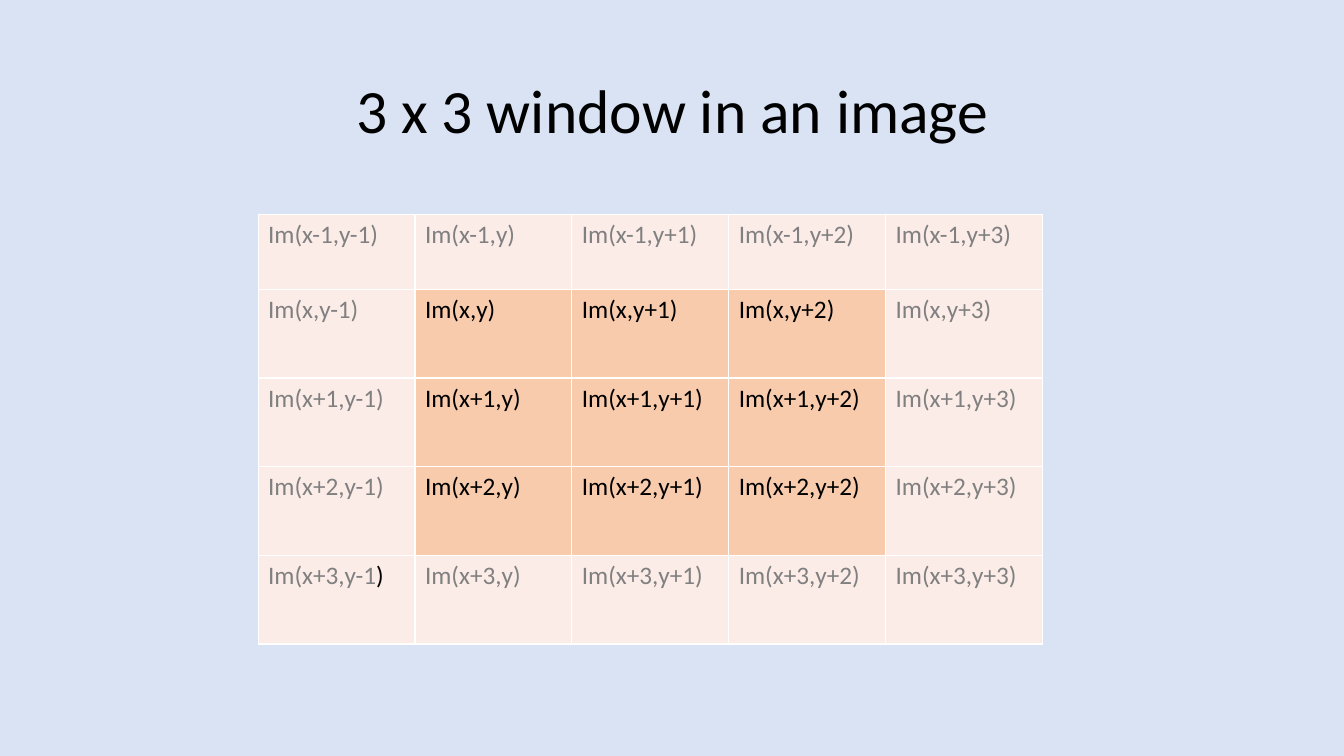
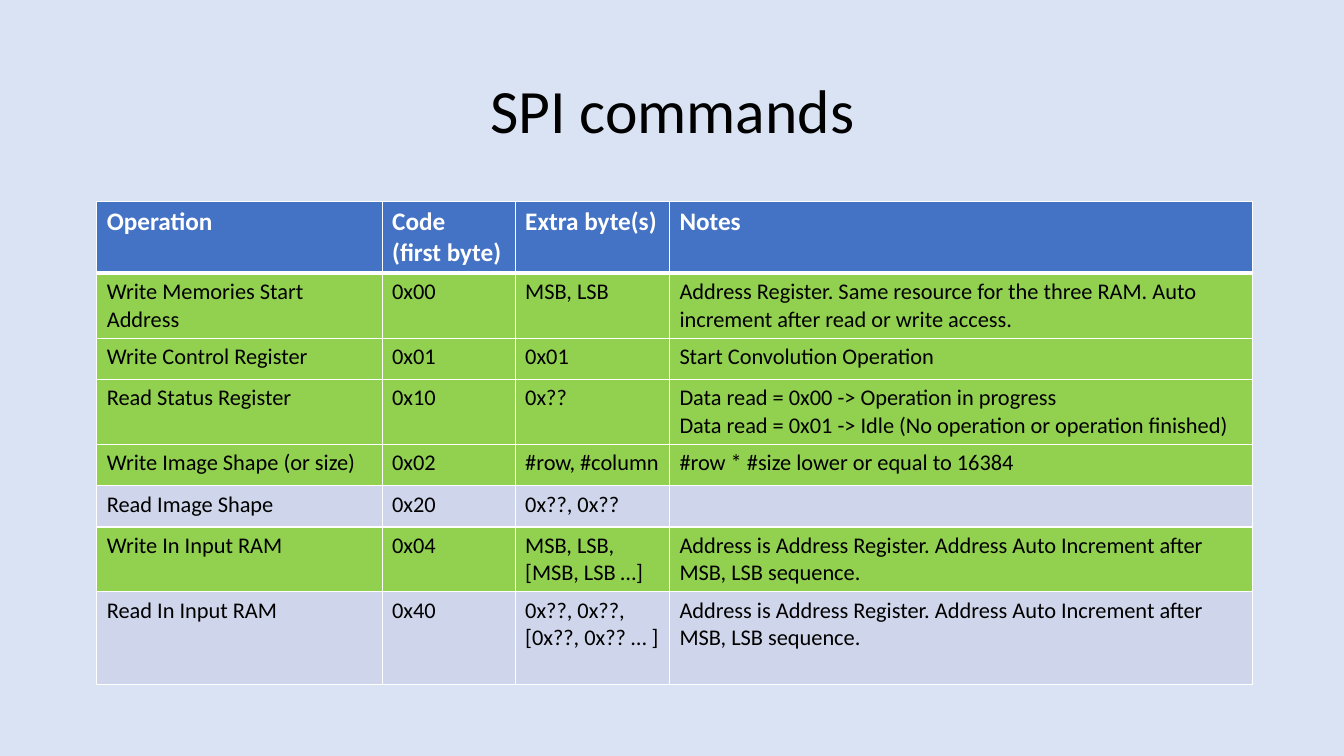
from lxml import etree
from pptx import Presentation
from pptx import util as u
from pptx.dml.color import RGBColor
from pptx.enum import text
from pptx.oxml.ns import qn

WHITE, BLACK, GRAY = "FFFFFF", "000000", "808080"
BACKGROUND, HEADER, DONE, PENDING = "DAE3F3", "4472C4", "92D050", "CFD5EA"
WINDOW, SURROUND = "F8CBAD", "FCECE8"

COMMANDS = [
    (DONE, 0.64, "Write Memories Start Address", "0x00", "MSB, LSB",
     "Address Register. Same resource for the three RAM. Auto increment after read or write access."),
    (DONE, 0.41, "Write Control Register", "0x01", "0x01", "Start Convolution Operation"),
    (DONE, 0.64, "Read Status Register", "0x10", "0x??",
     "Data read = 0x00 -> Operation in progress\n"
     "Data read = 0x01 -> Idle (No operation or operation finished)"),
    (DONE, 0.41, "Write Image Shape (or size)", "0x02", "#row, #column",
     "#row * #size lower or equal to 16384"),
    (PENDING, 0.41, "Read Image Shape", "0x20", "0x??, 0x??", ""),
    (DONE, 0.64, "Write In Input RAM", "0x04", "MSB, LSB, [MSB, LSB …]",
     "Address is Address Register. Address Auto Increment after MSB, LSB sequence."),
    (PENDING, 0.92, "Read In Input RAM", "0x40", "0x??, 0x??,[0x??, 0x?? … ]",
     "Address is Address Register. Address Auto Increment after MSB, LSB sequence."),
]


def rgb(value):
    """Turn a hex string into a colour."""
    return RGBColor.from_string(value)


def add_run(paragraph, content, size=18, color=BLACK, bold=False, font="Calibri"):
    """Append formatted text to a paragraph."""
    run = paragraph.add_run()
    run.text = content
    run.font.name, run.font.size, run.font.bold = font, u.Pt(size), bold
    run.font.color.rgb = rgb(color)


def write(frame, content, **style):
    """Fill a text frame with one paragraph per line."""
    for index, line in enumerate(content.split("\n")):
        paragraph = frame.add_paragraph() if index else frame.paragraphs[0]
        if line:
            add_run(paragraph, line, **style)


def set_borders(cell, top=1, bottom=1):
    """Give a cell white borders."""
    properties = cell._tc.get_or_add_tcPr()
    for side, width in (("L", 1), ("R", 1), ("T", top), ("B", bottom)):
        line = etree.SubElement(properties, qn(f"a:ln{side}"), w=str(u.Pt(width)))
        fill = etree.SubElement(line, qn("a:solidFill"))
        etree.SubElement(fill, qn("a:srgbClr"), val=WHITE)


class Deck:
    """Hold the shared style and the current slide."""

    def __init__(self):
        """Open a wide presentation with a plain background."""
        self.presentation = Presentation()
        self.presentation.slide_width = u.Inches(13.33)
        self.presentation.slide_height = u.Inches(7.5)
        background = self.presentation.slide_master.background.fill
        background.solid()
        background.fore_color.rgb = rgb(BACKGROUND)
        self.slide = None

    def add_slide(self, title):
        """Start a slide with a centred title."""
        self.slide = self.presentation.slides.add_slide(self.presentation.slide_layouts[5])
        shape = self.slide.shapes.title
        shape.left, shape.top = u.Inches(0.92), u.Inches(0.4)
        shape.width, shape.height = u.Inches(11.5), u.Inches(1.45)
        shape.text_frame.vertical_anchor = text.MSO_ANCHOR.MIDDLE
        write(shape.text_frame, title, size=44)
        paragraph = shape.text_frame.paragraphs[0]
        paragraph.alignment, paragraph.line_spacing = text.PP_ALIGN.CENTER, 0.9

    def add_table(self, left, top, widths, heights):
        """Add an empty table with the given column widths and row heights."""
        frame = self.slide.shapes.add_table(
            len(heights), len(widths), u.Inches(left), u.Inches(top),
            u.Inches(sum(widths)), u.Inches(sum(heights)))
        table = frame.table
        for column, width in zip(table.columns, widths):
            column.width = u.Inches(width)
        for row, height in zip(table.rows, heights):
            row.height = u.Inches(height)
        return table

    def fill_cell(self, cell, content, fill, top=1, bottom=1, **style):
        """Set borders, fill and text of a cell."""
        set_borders(cell, top, bottom)
        cell.fill.solid()
        cell.fill.fore_color.rgb = rgb(fill)
        write(cell.text_frame, content, **style)


def offset(name, step):
    """Name a coordinate shifted by a step."""
    return f"{name}{step:+d}" if step else name


def window_slide(deck):
    """Show the highlighted window among its neighbouring pixels."""
    deck.add_slide("3 x 3 window in an image")
    steps = range(-1, 4)
    table = deck.add_table(2.56, 2.13, [1.556] * 5, [0.74] + [0.88] * 4)
    for row, x in enumerate(steps):
        for column, y in enumerate(steps):
            inside = 0 <= x <= 2 and 0 <= y <= 2
            fill, color = (WINDOW, BLACK) if inside else (SURROUND, GRAY)
            cell = table.cell(row, column)
            label = f"Im({offset('x', x)},{offset('y', y)}"
            deck.fill_cell(cell, label, fill, color=color)
            closing = BLACK if (x, y) == (3, -1) else color
            add_run(cell.text_frame.paragraphs[0], ")", color=closing)


def commands_slide(deck):
    """List the commands with their codes."""
    deck.add_slide("SPI commands")
    heights = [0.7] + [command[1] for command in COMMANDS]
    table = deck.add_table(0.96, 2, [2.83, 1.32, 1.53, 5.78], heights)
    headings = ("Operation", "Code\n(first byte)", "Extra byte(s)", "Notes")
    for column, heading in enumerate(headings):
        deck.fill_cell(table.cell(0, column), heading, HEADER, bottom=3, color=WHITE, bold=True)
    for row, (fill, _, *values) in enumerate(COMMANDS, start=1):
        for column, value in enumerate(values):
            deck.fill_cell(table.cell(row, column), value, fill, top=3 if row == 1 else 1, size=16)


def main():
    """Build and save the presentation."""
    deck = Deck()
    window_slide(deck)
    commands_slide(deck)
    deck.presentation.save("out.pptx")


if __name__ == "__main__":
    main()
